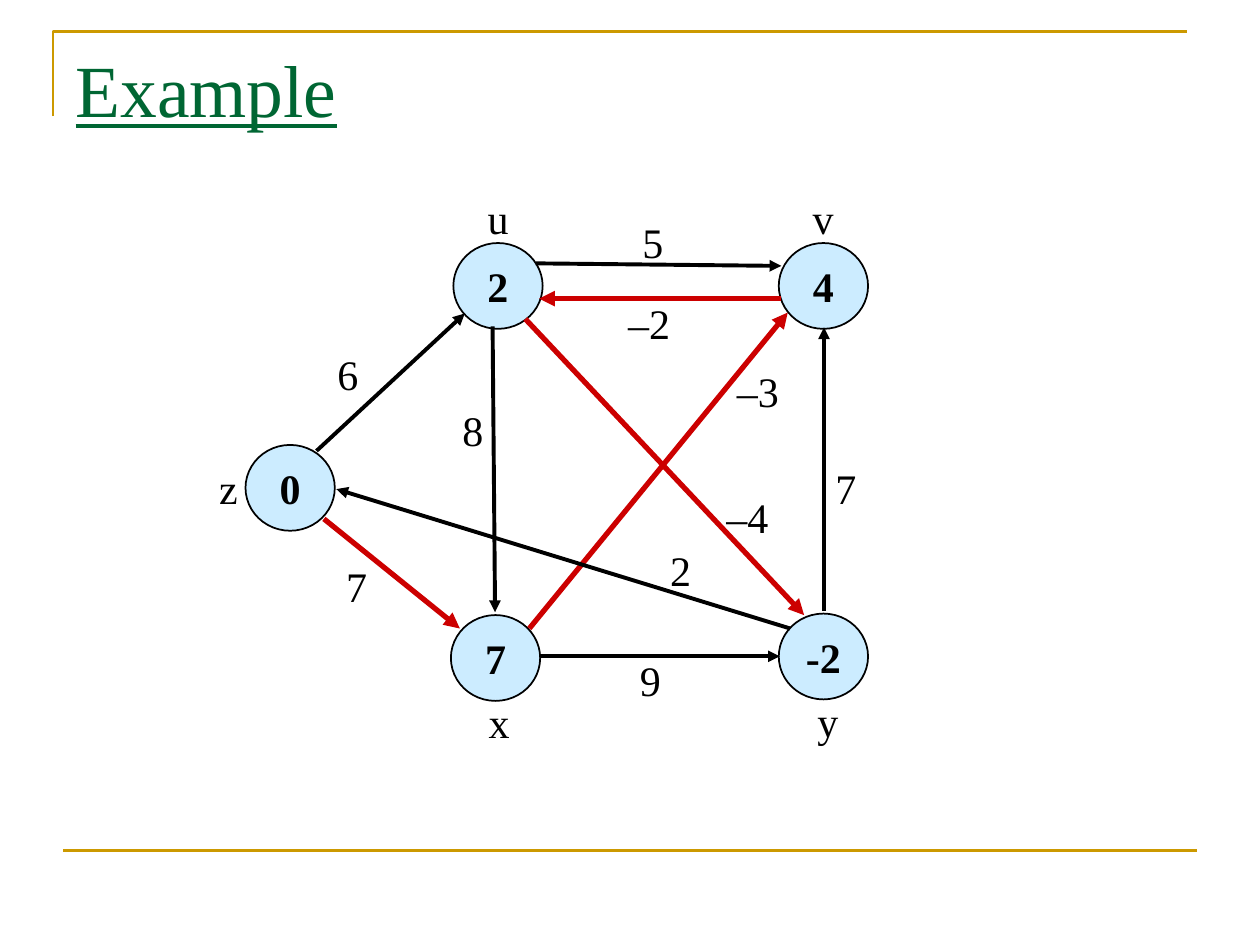
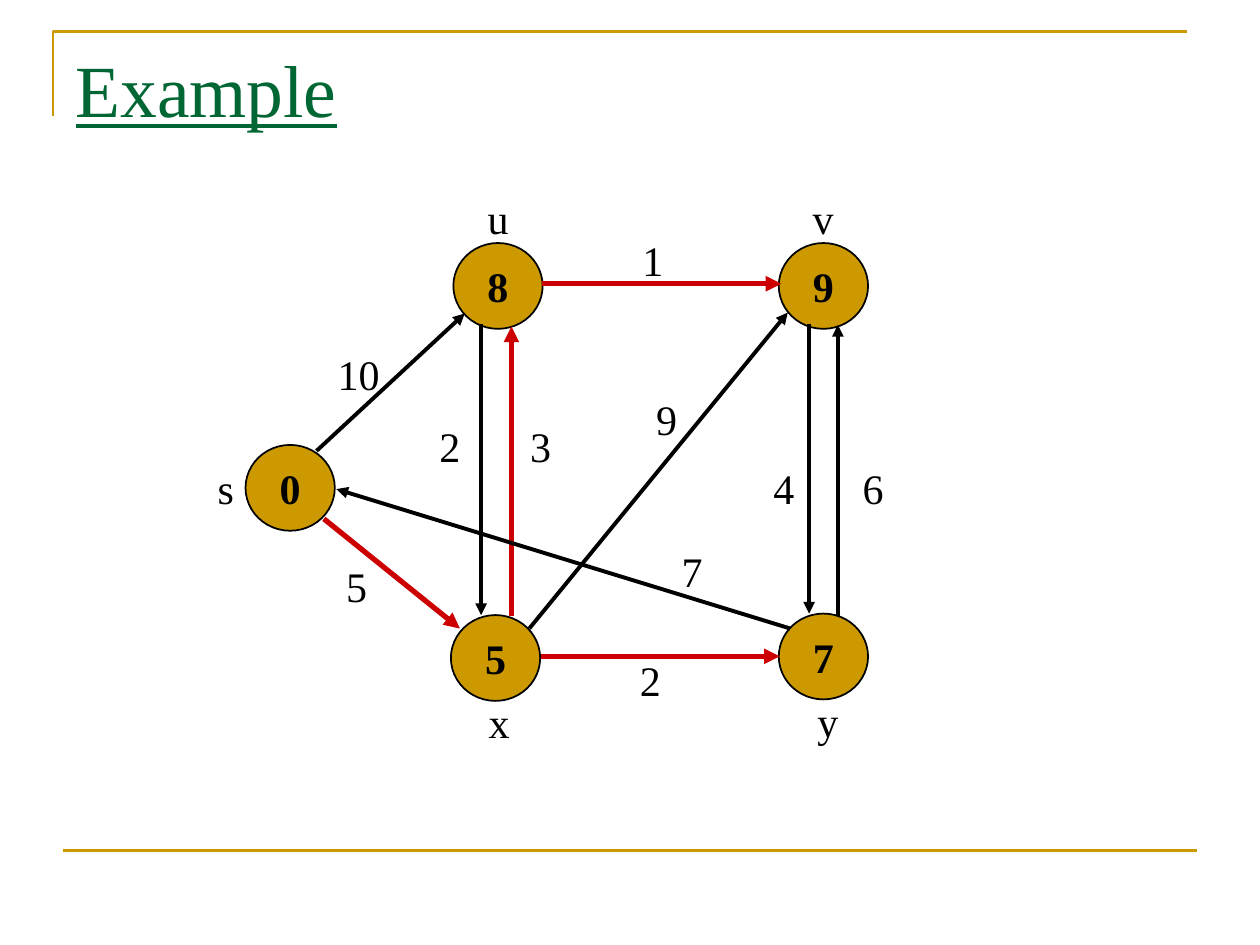
from lxml import etree
from pptx import Presentation
from pptx.dml.color import RGBColor
from pptx.enum import shapes as kinds, text as txt
from pptx.oxml.ns import qn
from pptx.util import Cm, Pt

GOLD = RGBColor(0xCC, 0x99, 0x00)
GREEN = RGBColor(0x00, 0x66, 0x33)
PALE_BLUE = RGBColor(0xCC, 0xEC, 0xFF)
BLACK = RGBColor(0x00, 0x00, 0x00)
RED = RGBColor(0xCC, 0x00, 0x00)
FONT = "Times New Roman"

NODE_W, NODE_H = 1.8, 1.73
NODES = {"source": (4.95, 8.97), "y": (15.7, 12.37), "x": (9.09, 12.4),
         "v": (15.7, 4.9), "u": (9.14, 4.9)}
NAME_SPOTS = {"u": (10.05, 3.76), "v": (16.6, 3.76),
              "x": (10.07, 13.92), "y": (16.7, 13.89)}

SOURCE_U = (6.38, 9.09, 9.37, 6.32)
SOURCE_X = (6.53, 10.46, 9.27, 12.67)
X_Y = (10.9, 13.23, 15.72, 13.23)
X_V = (10.67, 12.67, 15.88, 6.3)
Y_SOURCE = (15.93, 12.67, 6.78, 9.86)

GRAPHS = [
    {"fill": PALE_BLUE, "source": ("z", 4.64, 9.2),
     "distances": {"source": "0", "y": "-2", "x": "7", "v": "4", "u": "2"},
     "edges": [
         (SOURCE_U, BLACK, "6", 7.02, 6.91),
         (SOURCE_X, RED, "7", 7.2, 11.18),
         ((9.93, 6.58, 9.98, 12.34), BLACK, "8", 9.54, 8.03),
         ((16.61, 12.32, 16.61, 6.6), BLACK, "7", 17.06, 9.2),
         (X_Y, BLACK, "9", 13.12, 13.06),
         ((10.8, 5.31, 15.75, 5.36), BLACK, "5", 13.17, 4.24),
         (X_V, RED, "–3", 15.28, 7.24),
         (Y_SOURCE, BLACK, "2", 13.73, 10.85),
         ((15.75, 6.02, 10.87, 6.02), RED, "–2", 13.09, 5.87),
         ((10.59, 6.43, 16.21, 12.4), RED, "–4", 15.07, 9.78)]},
    {"fill": GOLD, "source": ("s", 4.61, 9.2),
     "distances": {"source": "0", "y": "7", "x": "5", "v": "9", "u": "8"},
     "edges": [
         (SOURCE_U, BLACK, "10", 7.23, 6.91),
         (SOURCE_X, RED, "5", 7.2, 11.18),
         ((9.7, 6.53, 9.7, 12.4), BLACK, "2", 9.08, 8.36),
         ((10.31, 12.42, 10.31, 6.58), RED, "3", 10.91, 8.36),
         ((16.31, 6.53, 16.31, 12.37), BLACK, "4", 15.81, 9.2),
         ((16.89, 12.42, 16.89, 6.55), BLACK, "6", 17.61, 9.2),
         (X_Y, RED, "2", 13.12, 13.06),
         ((10.92, 5.72, 15.75, 5.72), RED, "1", 13.17, 4.6),
         (X_V, BLACK, "9", 13.45, 7.8),
         (Y_SOURCE, BLACK, "7", 13.96, 10.87)]},
]


def add_line(slide, ends, color, width):
    line = slide.shapes.add_connector(kinds.MSO_CONNECTOR.STRAIGHT, *map(Cm, ends))
    line.line.color.rgb = color
    line.line.width = Pt(width)
    etree.SubElement(line.element.spPr, qn("a:effectLst"))
    return line


def write(frame, words, size, color):
    frame.text = words
    paragraph = frame.paragraphs[0]
    paragraph.font.name = FONT
    paragraph.font.size = Pt(size)
    paragraph.font.color.rgb = color
    return paragraph


prs = Presentation()
prs.slide_width, prs.slide_height = Cm(25.4), Cm(19.05)
layout = prs.slide_layouts[5]
heading = layout.placeholders[0]
heading.left, heading.top = Cm(1.27), Cm(0.76)
heading.width, heading.height = Cm(22.86), Cm(3.18)

slides = [prs.slides.add_slide(layout) for graph in GRAPHS]

outline = slides[0].shapes.build_freeform(Cm(1.07), Cm(2.34))
outline.add_line_segments([(Cm(1.07), Cm(0.64)), (Cm(23.93), Cm(0.64))], close=False)
corner = outline.convert_to_shape()
corner.shadow.inherit = False
corner.fill.background()
corner.line.color.rgb = GOLD
corner.line.width = Pt(1.5)
footer_rule = add_line(slides[0], (1.27, 17.15, 24.13, 17.15), GOLD, 1.5)
for part in (corner, footer_rule):
    layout.shapes.element.append(part.element)

for slide, graph in zip(slides, GRAPHS):
    title = slide.shapes.title.text_frame
    title.vertical_anchor = txt.MSO_ANCHOR.TOP
    paragraph = write(title, "Example", 42, GREEN)
    paragraph.alignment = txt.PP_ALIGN.LEFT
    paragraph.font.underline = True

    for name, distance in graph["distances"].items():
        left, top = NODES[name]
        node = slide.shapes.add_shape(kinds.MSO_SHAPE.OVAL, Cm(left), Cm(top),
                                      Cm(NODE_W), Cm(NODE_H))
        node.shadow.inherit = False
        node.fill.solid()
        node.fill.fore_color.rgb = graph["fill"]
        node.line.color.rgb = BLACK
        node.line.width = Pt(1)
        node.text_frame.word_wrap = False
        node.text_frame.vertical_anchor = txt.MSO_ANCHOR.MIDDLE
        paragraph = write(node.text_frame, distance, 24, BLACK)
        paragraph.alignment = txt.PP_ALIGN.CENTER
        paragraph.font.bold = True

    labels = [graph["source"]] + [(name, *spot) for name, spot in NAME_SPOTS.items()]
    for ends, color, *weight in graph["edges"]:
        edge = add_line(slide, ends, color, 3 if color == RED else 2.25)
        etree.SubElement(edge.element.spPr.find(qn("a:ln")), qn("a:tailEnd"), type="triangle")
        labels.append(weight)

    for words, center, top in labels:
        width = 0.53 + 0.41 * len(words)
        label = slide.shapes.add_textbox(Cm(center - width / 2), Cm(top), Cm(width), Cm(1.27))
        label.text_frame.word_wrap = False
        label.text_frame.auto_size = txt.MSO_AUTO_SIZE.SHAPE_TO_FIT_TEXT
        write(label.text_frame, words, 24, BLACK)

prs.save("out.pptx")
